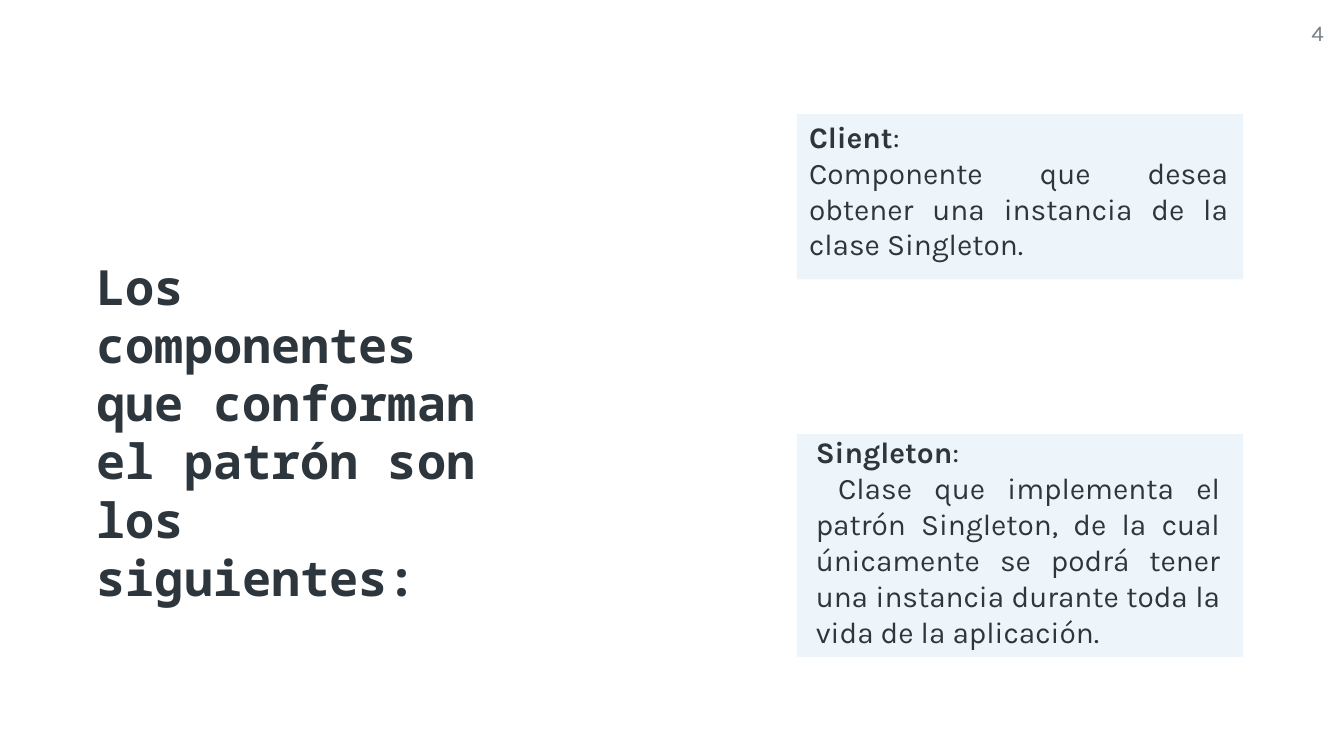
from dataclasses import dataclass

from lxml import etree
from pptx import Presentation
from pptx import util as u
from pptx.dml.color import RGBColor
from pptx.enum import shapes, text
from pptx.oxml import ns

INK, GREY, PANEL = "2E363D", "767E85", "C3DCEF"
BODY_FONT, TITLE_FONT = "Karla", "Noto Sans Mono"


@dataclass
class Component:
    name: str
    colon: str
    description: str
    panel: tuple[float, float, float, float]
    box: tuple[float, float, float, float]


COMPONENTS = [
    Component("Singleton", ":",
              " Clase que implementa el patrón Singleton, de la cual únicamente "
              "se podrá tener una instancia durante toda la vida de la aplicación.",
              (5.93, 3.23, 3.32, 1.66), (5.93, 3.23, 3.15, 1.66)),
    Component("Client", ": ",
              "Componente que desea obtener una instancia de la clase Singleton.",
              (5.93, 0.85, 3.32, 1.23), (5.88, 0.88, 3.26, 1.22)),
]


def color(value: str) -> RGBColor:
    return RGBColor.from_string(value)


def add_panel(s, box: tuple, fill: str, opacity: int) -> None:
    sp = s.shapes.add_shape(shapes.MSO_SHAPE.RECTANGLE, *map(u.Inches, box))
    sp.shadow.inherit = False
    sp.line.fill.background()
    sp.fill.solid()
    sp.fill.fore_color.rgb = color(fill)
    clr = sp._element.spPr.find(".//" + ns.qn("a:srgbClr"))
    etree.SubElement(clr, ns.qn("a:alpha"), val=str(opacity * 1000))


def add_text(s, box: tuple, paragraphs: list[list[tuple[str, bool]]], *,
             size: int, font: str = BODY_FONT, ink: str = INK,
             align=text.PP_ALIGN.LEFT, spacing: float | None = None,
             indent: float = 0) -> None:
    """Each paragraph is a list of (text, bold) runs."""
    tf = s.shapes.add_textbox(*map(u.Inches, box)).text_frame
    tf.word_wrap = True
    tf.margin_left = tf.margin_top = tf.margin_right = tf.margin_bottom = 0
    for i, runs in enumerate(paragraphs):
        p = tf.add_paragraph() if i else tf.paragraphs[0]
        p.alignment = align
        if spacing:
            p.line_spacing = u.Pt(spacing)
        if indent:
            pPr = p._p.get_or_add_pPr()
            pPr.set("marL", str(u.Inches(indent)))
            pPr.set("indent", "0")
        for content, bold in runs:
            r = p.add_run()
            r.text = content
            r.font.size = u.Pt(size)
            r.font.name = font
            r.font.bold = bold
            r.font.color.rgb = color(ink)


def main() -> None:
    # Widescreen 16:9 page
    prs = Presentation()
    prs.slide_width, prs.slide_height = u.Inches(10), u.Inches(10 * 9 / 16)
    s = prs.slides.add_slide(prs.slide_layouts[6])

    # Component panels
    for c in COMPONENTS:
        add_panel(s, c.panel, PANEL, 28)

    # Component descriptions
    for c in COMPONENTS:
        add_text(s, c.box, [[(c.name, True), (c.colon, False)], [(c.description, False)]],
                 size=16, align=text.PP_ALIGN.JUSTIFY, spacing=19.25, indent=0.14)

    # Title
    add_text(s, (0.72, 1.91, 2.84, 0.74),
             [[("Los componentes que conforman el patrón son los siguientes:", True)]],
             size=26, font=TITLE_FONT, spacing=31.2)

    # Slide number
    add_text(s, (9.25, 0.14, 0.6, 0.43), [[("4", False)]],
             size=12, ink=GREY, align=text.PP_ALIGN.RIGHT)

    prs.save("out.pptx")


if __name__ == "__main__":
    main()
